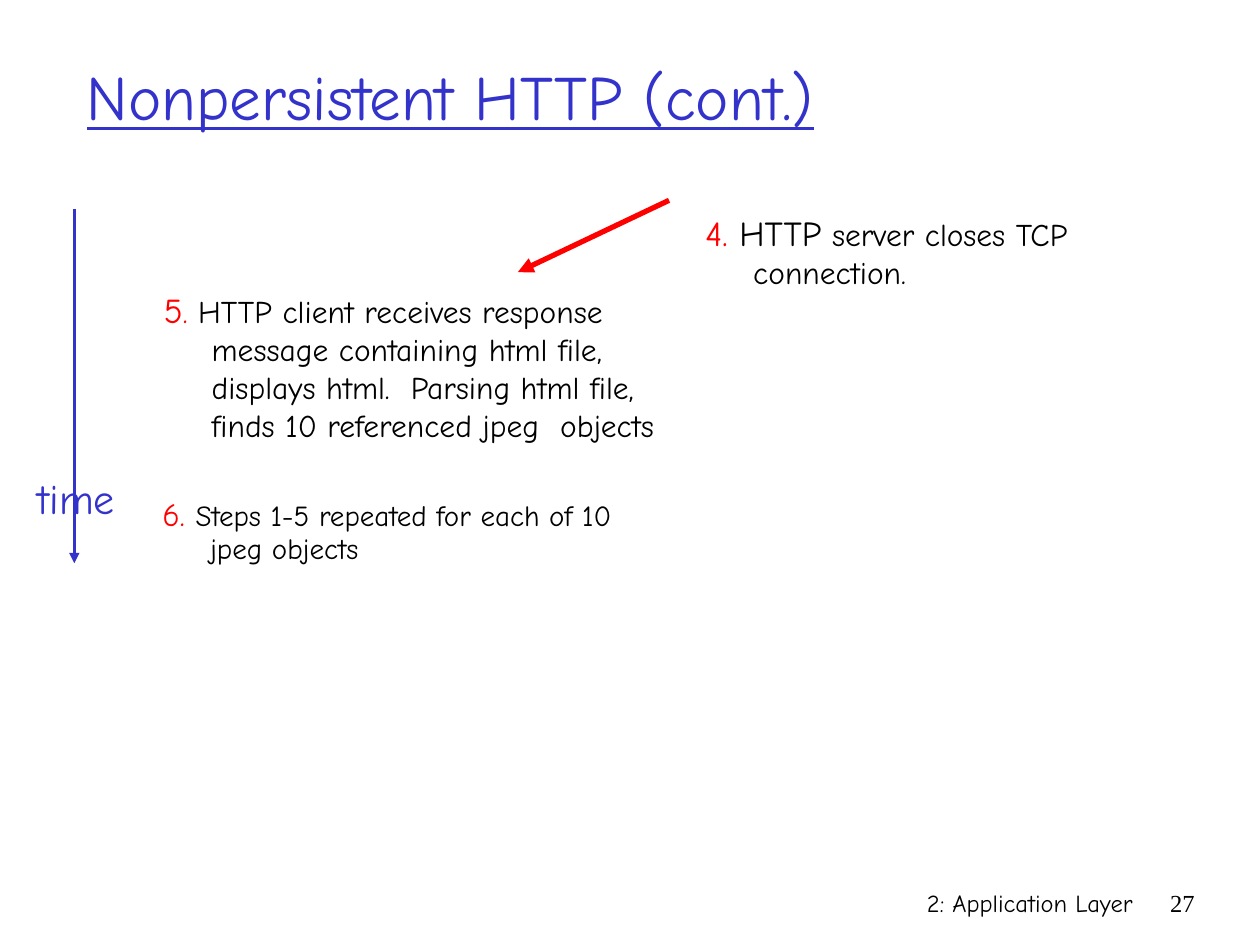
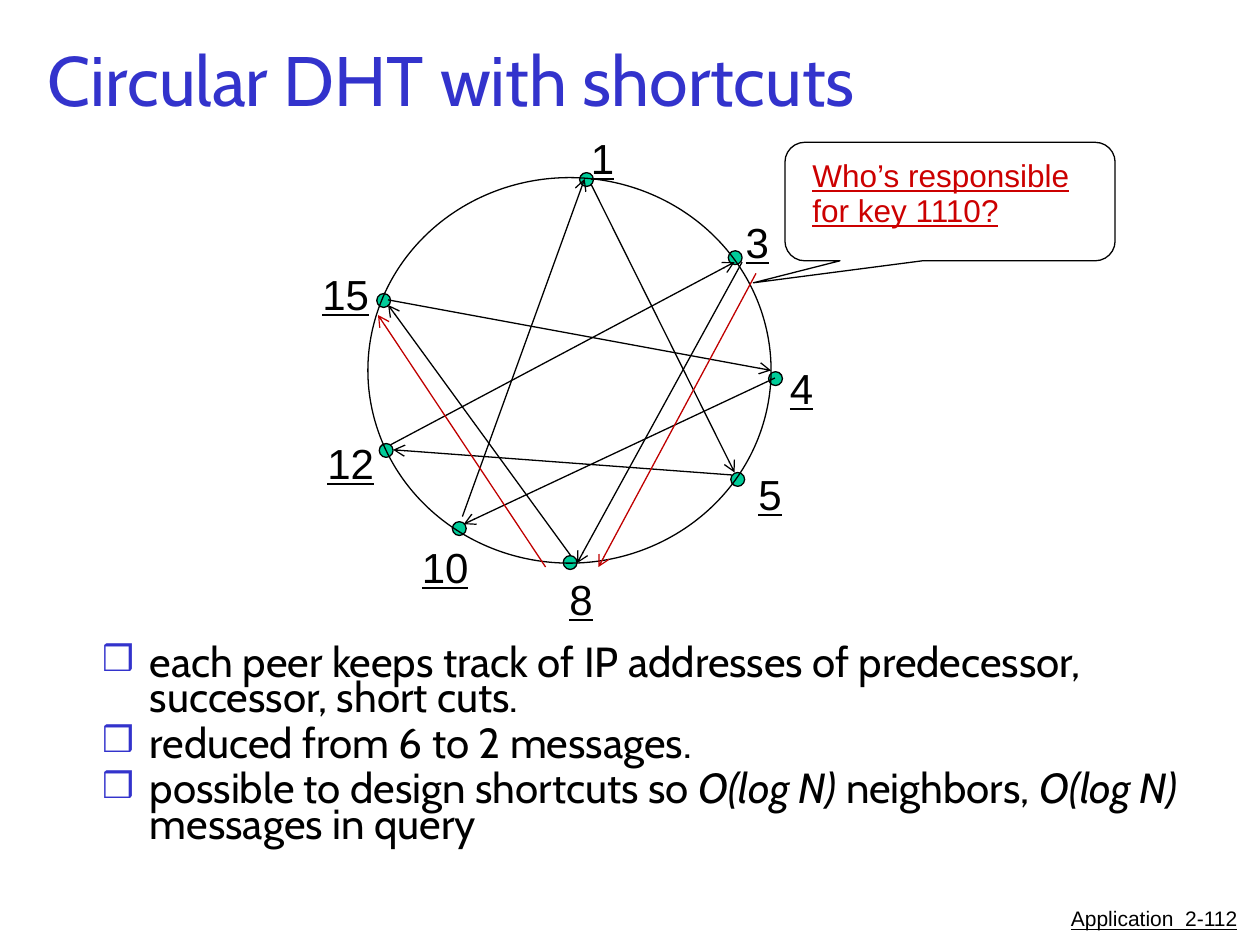
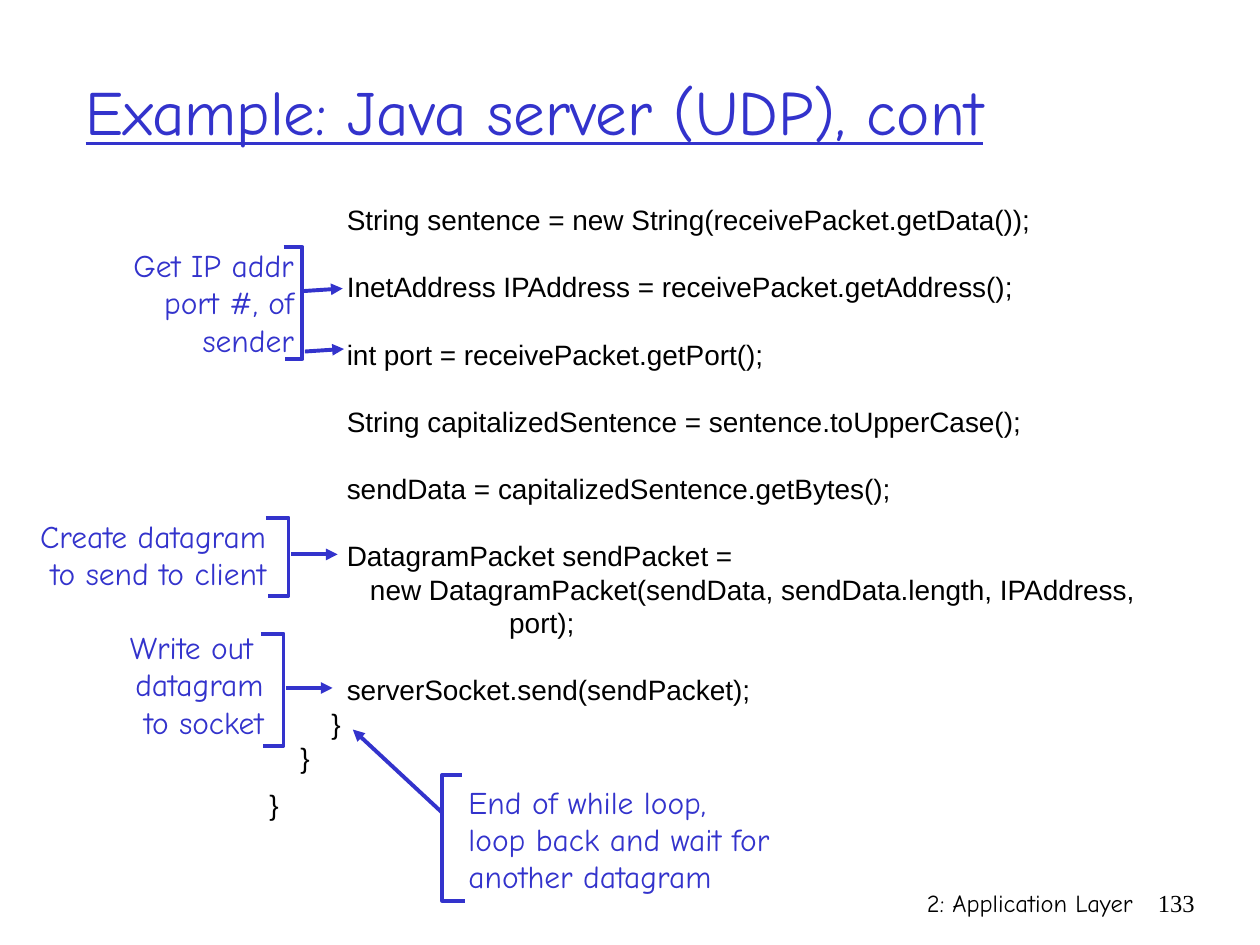
"""Build three application-layer lecture slides: HTTP, circular DHT and a UDP server."""
from lxml import etree
from pptx import Presentation
from pptx.dml.color import RGBColor
from pptx.enum.shapes import MSO_CONNECTOR, MSO_SHAPE
from pptx.enum.text import MSO_ANCHOR, MSO_AUTO_SIZE, PP_ALIGN
from pptx.oxml.ns import qn
from pptx.util import Inches, Pt

STRAIGHT = MSO_CONNECTOR.STRAIGHT
OVAL, CALLOUT = MSO_SHAPE.OVAL, MSO_SHAPE.ROUNDED_RECTANGULAR_CALLOUT
TOP, MIDDLE = MSO_ANCHOR.TOP, MSO_ANCHOR.MIDDLE
LEFT, CENTER, RIGHT = PP_ALIGN.LEFT, PP_ALIGN.CENTER, PP_ALIGN.RIGHT
NO_FIT = MSO_AUTO_SIZE.NONE

BLUE, RED, BLACK = "3333CC", "FF0000", "000000"
COMIC, ARIAL, CABIN = "Comic Neue", "Arial", "Cabin"


def style(name, size, color=BLACK, **extra):
    """Describe one kind of text."""
    return {"color": color, "font": {"name": name, "size": Pt(size), **extra}}


THEME = {
    "text": {
        "title": style(COMIC, 36, BLUE, underline=True),
        "plain title": style(CABIN, 40, BLUE),
        "footer": style(COMIC, 14),
        "page": style("Times New Roman", 14),
        "linked footer": style(ARIAL, 12, underline=True),
        "number": style(COMIC, 20, RED),
        "number dot": style(COMIC, 18, RED),
        "step": style(COMIC, 18),
        "large step": style(COMIC, 20),
        "last number": style(COMIC, 18.5, RED),
        "last step": style(COMIC, 16.6),
        "time": style(COMIC, 24, BLUE),
        "bullet": style(CABIN, 24),
        "formula": style(CABIN, 24, italic=True),
        "peer": style(ARIAL, 24, underline=True),
        "question": style(ARIAL, 18, "CC0000", underline=True),
        "code": style(ARIAL, 16),
        "note": style(COMIC, 18, BLUE),
    },
    "line": {
        "time": (BLUE, 1.5, "triangle"),
        "reply": (RED, 3, "triangle"),
        "shortcut": (BLACK, 0.75, "arrow"),
        "query": ("C00000", 0.75, "arrow"),
        "note": (BLUE, 2.25, "triangle"),
    },
    "peer fill": "00CC99",
    "hanging": 0.38,
    "code pitch": 19.2,
}

CHAPTER = "2: Application Layer"

STEP_5 = [("5", "number"), (".", "number dot"),
          (" HTTP client receives response message containing html file, "
           "displays html.  Parsing html file, finds 10 referenced jpeg  objects", "step")]
STEP_5_AT = (1.2, 2.27, 4.17, 1.68)
OTHER_STEPS = [
    ((1.19, 3.93, 4.17, 0.73), 18.2,
     [("6. ", "last number"), ("Steps 1-5 repeated for each of 10 jpeg objects", "last step")]),
    ((5.5, 1.66, 4.17, 0.8), 21.6,
     [("4.", "number"), (" HTTP", "large step"), (" server closes TCP connection.", "step")]),
]

DHT_POINTS = [
    [("each peer keeps track of IP addresses of predecessor, successor, short cuts.", "bullet")],
    [("reduced from 6 to 2 messages.", "bullet")],
    [("possible to design shortcuts so ", "bullet"), ("O(log N) ", "formula"),
     ("neighbors, ", "bullet"), ("O(log N) ", "formula"), ("messages in query", "bullet")],
]
RING_AT = (2.92, 1.41, 3.2, 3.06)
PEER_SIZE = 0.11
PEERS = {
    "1": ((4.6, 1.37), (4.59, 1)),
    "3": ((5.78, 1.99), (5.82, 1.67)),
    "4": ((6.1, 2.95), (6.17, 2.83)),
    "5": ((5.8, 3.75), (5.92, 3.67)),
    "8": ((4.47, 4.41), (4.42, 4.5)),
    "10": ((3.59, 4.14), (3.25, 4.25)),
    "12": ((3.01, 3.52), (2.5, 3.42)),
    "15": ((2.99, 2.33), (2.46, 2.08)),
}
SHORTCUTS = [
    ((6.15, 3), (3.68, 4.16)), ((5.81, 3.77), (3.12, 3.57)),
    ((4.53, 4.41), (3.08, 2.42)), ((3.67, 4.1), (4.64, 1.42)),
    ((3.1, 3.53), (5.83, 2.08)), ((3.08, 2.38), (6.12, 2.94)),
    ((4.69, 1.46), (5.83, 3.75)), ((5.89, 2.08), (4.58, 4.47)),
]
QUERY_HOPS = [((6, 2.17), (4.75, 4.5)), ((4.33, 4.5), (3, 2.5))]
QUESTION = ["Who’s responsible", "for key 1110?"]

CODE = [
    (0, "          String sentence = new String(receivePacket.getData());"),
    (1, "          InetAddress IPAddress = receivePacket.getAddress();"),
    (1, "          int port = receivePacket.getPort();"),
    (1, "          String capitalizedSentence = sentence.toUpperCase();"),
    (1, "          sendData = capitalizedSentence.getBytes();"),
    (1, "          DatagramPacket sendPacket ="),
    (0, "             new DatagramPacket(sendData, sendData.length, IPAddress,"),
    (0, "                               port);"),
    (1, "          serverSocket.send(sendPacket);"),
    (0, "        }"),
    (0, "    }"),
    (0.4, "}"),
]
NOTES = [
    {"lines": ["Get IP addr", "port #, of", "sender"], "at": (0.14, 1.9, 2.29, 1),
     "align": RIGHT, "wrap": True,
     "bracket": [(2.25, 1.96), (2.4, 1.96), (2.4, 2.85), (2.26, 2.85)],
     "arrows": [((2.41, 2.31), (2.72, 2.29)), ((2.42, 2.79), (2.73, 2.77))]},
    {"lines": ["Create datagram", "to send to client"], "at": (0.2, 4.05, 2.01, 0.7),
     "align": RIGHT, "wrap": False,
     "bracket": [(2.11, 4.11), (2.29, 4.11), (2.29, 4.73), (2.13, 4.73)],
     "arrows": [((2.31, 4.4), (2.68, 4.4))]},
    {"lines": ["Write out ", "datagram", "to socket"], "at": (0.92, 4.93, 1.27, 1),
     "align": RIGHT, "wrap": False,
     "bracket": [(2.07, 5.03), (2.25, 5.03), (2.25, 5.92), (2.09, 5.92)],
     "arrows": [((2.27, 5.46), (2.64, 5.46))]},
    {"lines": ["End of while loop,", "loop back and wait for", "another datagram"],
     "at": (3.62, 6.16, 2.6, 1), "align": LEFT, "wrap": False,
     "bracket": [(3.69, 7.15), (3.51, 7.15), (3.51, 6.15), (3.67, 6.15)],
     "arrows": [((3.51, 6.45), (2.8, 5.79))]},
]


def inches(values):
    """Turn plain numbers into lengths."""
    return [Inches(value) for value in values]


def assign(target, values):
    """Set every attribute named in a dict."""
    for name, value in values.items():
        setattr(target, name, value)


def add_mark(properties, tag, **attributes):
    """Append one drawing element with its attributes."""
    return etree.SubElement(properties, qn(tag), attributes)


def write(frame, paragraphs, anchor=TOP, wrap=True, hanging=0, bullet=None, gaps=None, **layout):
    """Fill a text frame with paragraphs made of (text, style) runs."""
    assign(frame, {"auto_size": NO_FIT, "word_wrap": wrap, "vertical_anchor": anchor})
    for index, runs in enumerate(paragraphs):
        paragraph = frame.paragraphs[0] if index == 0 else frame.add_paragraph()
        properties = paragraph._p.get_or_add_pPr()
        if hanging:
            properties.set("marL", str(Inches(hanging)))
            properties.set("indent", str(-Inches(hanging)))
        if bullet:
            color = add_mark(properties, "a:buClr")
            add_mark(color, "a:srgbClr", val=BLUE)
            add_mark(properties, "a:buSzPct", val="85000")
            add_mark(properties, "a:buChar", char=bullet)
        else:
            add_mark(properties, "a:buNone")
        before = Pt(gaps[index]) if gaps and index else Pt(0)
        assign(paragraph, {"alignment": LEFT, "space_before": before, **layout})
        for text, kind in runs:
            run = paragraph.add_run()
            run.text = text
            look = THEME["text"][kind]
            assign(run.font, look["font"])
            run.font.color.rgb = RGBColor.from_string(look["color"])


def add_text(shapes, at, paragraphs, **layout):
    """Add a text box."""
    write(shapes.add_textbox(*inches(at)).text_frame, paragraphs, **layout)


def fill_placeholder(holder, at, paragraphs, **layout):
    """Move a placeholder and fill it."""
    assign(holder, dict(zip(("left", "top", "width", "height"), inches(at))))
    write(holder.text_frame, paragraphs, **layout)


def add_title(slide, at, text, kind="title"):
    """Fill the slide title."""
    fill_placeholder(slide.shapes.title, at, [[(text, kind)]], anchor=MIDDLE)


def add_footer(slide, page):
    """Add the chapter name and the page number."""
    for at, text, kind in (((5.92, 7, 3.17, 0.5), CHAPTER, "footer"),
                           ((9.08, 7, 0.5, 0.5), page, "page")):
        add_text(slide.shapes, at, [[(text, kind)]], alignment=RIGHT)


def set_line(outline, color, width):
    """Colour an outline and set its width."""
    outline.color.rgb = RGBColor.from_string(color)
    outline.width = Pt(width)


def add_arrow(shapes, start, end, kind):
    """Draw an arrow between two points."""
    color, width, head = THEME["line"][kind]
    arrow = shapes.add_connector(STRAIGHT, *inches(start + end))
    set_line(arrow.line, color, width)
    properties = arrow._element.spPr
    add_mark(properties.find(qn("a:ln")), "a:tailEnd", type=head)
    add_mark(properties, "a:effectLst")


def outline_shape(shape, color=BLACK, width=0.75, fill=None):
    """Give a shape its outline and an optional fill."""
    shape.shadow.inherit = False
    set_line(shape.line, color, width)
    if fill:
        shape.fill.solid()
        shape.fill.fore_color.rgb = RGBColor.from_string(fill)
    else:
        shape.fill.background()
    return shape


def add_bracket(shapes, points):
    """Draw an open bracket through the points."""
    corners = [tuple(inches(point)) for point in points]
    builder = shapes.build_freeform(*corners[0])
    builder.add_line_segments(corners[1:], close=False)
    outline_shape(builder.convert_to_shape(), *THEME["line"]["note"][:2])


def build_http(slide):
    """Build the nonpersistent HTTP slide."""
    add_footer(slide, "27")
    add_title(slide, (0.59, 0.28, 8.5, 0.95), "Nonpersistent HTTP (cont.)")
    hanging = THEME["hanging"]
    fill_placeholder(slide.placeholders[1], STEP_5_AT, [STEP_5],
                     hanging=hanging, line_spacing=Pt(21.6))
    for at, pitch, runs in OTHER_STEPS:
        add_text(slide.shapes, at, [runs], hanging=hanging, line_spacing=Pt(pitch))
    add_arrow(slide.shapes, (0.59, 1.66), (0.59, 4.47), "time")
    add_text(slide.shapes, (0.2, 3.7, 0.81, 0.5), [[("time", "time")]],
             wrap=False, alignment=CENTER)
    add_arrow(slide.shapes, (5.31, 1.59), (4.11, 2.16), "reply")


def build_dht(slide):
    """Build the circular DHT slide."""
    add_title(slide, (0.28, 0, 9, 1.25), "Circular DHT with shortcuts", "plain title")
    fill_placeholder(slide.placeholders[1], (0.71, 5.1, 9, 1.83), DHT_POINTS,
                     hanging=THEME["hanging"], bullet="❒", gaps=[0, 6, 6], line_spacing=0.7)
    network = slide.shapes.add_group_shape().shapes
    for dot, _ in PEERS.values():
        outline_shape(network.add_shape(OVAL, *inches(dot + (PEER_SIZE, PEER_SIZE))),
                      fill=THEME["peer fill"])
    outline_shape(network.add_shape(OVAL, *inches(RING_AT)))
    for peer, (_, corner) in PEERS.items():
        width = 0.19 + 0.19 * len(peer)
        add_text(network, corner + (width, 0.5), [[(peer, "peer")]], wrap=False)
    for start, end in SHORTCUTS:
        add_arrow(network, start, end, "shortcut")
    for start, end in QUERY_HOPS:
        add_arrow(slide.shapes, start, end, "query")
    speech = slide.shapes.add_group_shape().shapes
    balloon = outline_shape(speech.add_shape(CALLOUT, *inches((6.23, 1.13, 2.62, 0.94))))
    for index, value in enumerate((-0.596, 0.686, 0.167)):
        balloon.adjustments[index] = value
    add_text(speech, (6.35, 1.21, 2.6, 0.66), [[(line, "question")] for line in QUESTION],
             line_spacing=Pt(20))
    add_text(slide.shapes, (8.33, 7.14, 1.59, 0.31),
             [[("Application  2-112", "linked footer")]], alignment=RIGHT)


def build_server(slide):
    """Build the annotated UDP server slide."""
    add_footer(slide, "133")
    add_title(slide, (0.58, 0.25, 8.5, 1.25), "Example: Java server (UDP), cont")
    pitch = THEME["code pitch"]
    add_text(slide.shapes, (2.04, 1.56, 7.15, 5.03), [[(line, "code")] for _, line in CODE],
             gaps=[gap * pitch for gap, _ in CODE], line_spacing=Pt(pitch))
    for note in NOTES:
        add_text(slide.shapes, note["at"], [[(line, "note")] for line in note["lines"]],
                 anchor=MIDDLE, wrap=note["wrap"], alignment=note["align"],
                 line_spacing=Pt(21.4))
        add_bracket(slide.shapes, note["bracket"])
        for start, end in note["arrows"]:
            add_arrow(slide.shapes, start, end, "note")


def main():
    """Build and save the presentation."""
    deck = Presentation()
    deck.slide_width, deck.slide_height = inches((10, 7.5))
    title_and_body, title_only = deck.slide_layouts[1], deck.slide_layouts[5]
    for build, layout in ((build_http, title_and_body), (build_dht, title_and_body),
                          (build_server, title_only)):
        build(deck.slides.add_slide(layout))
    deck.save("out.pptx")


if __name__ == "__main__":
    main()
